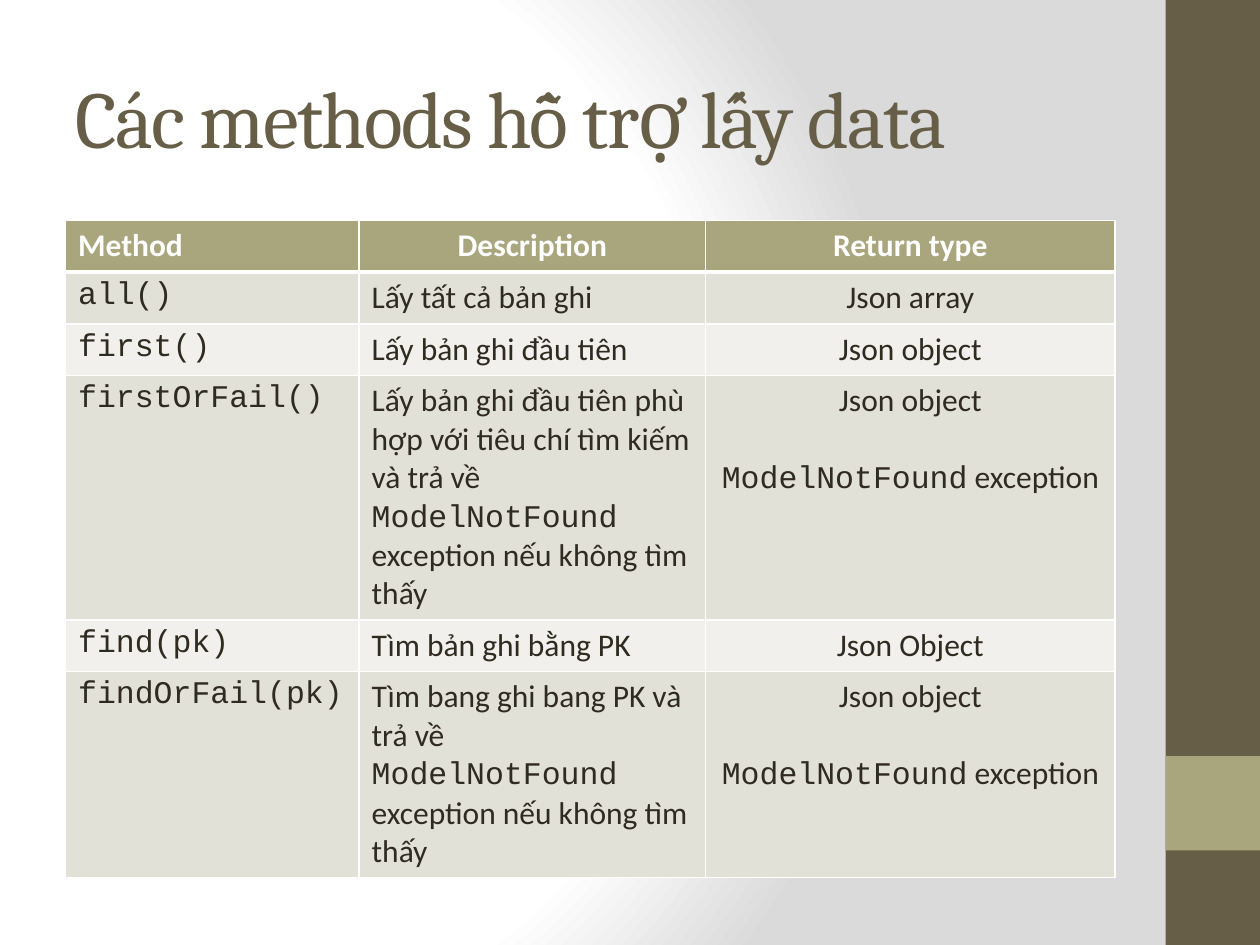
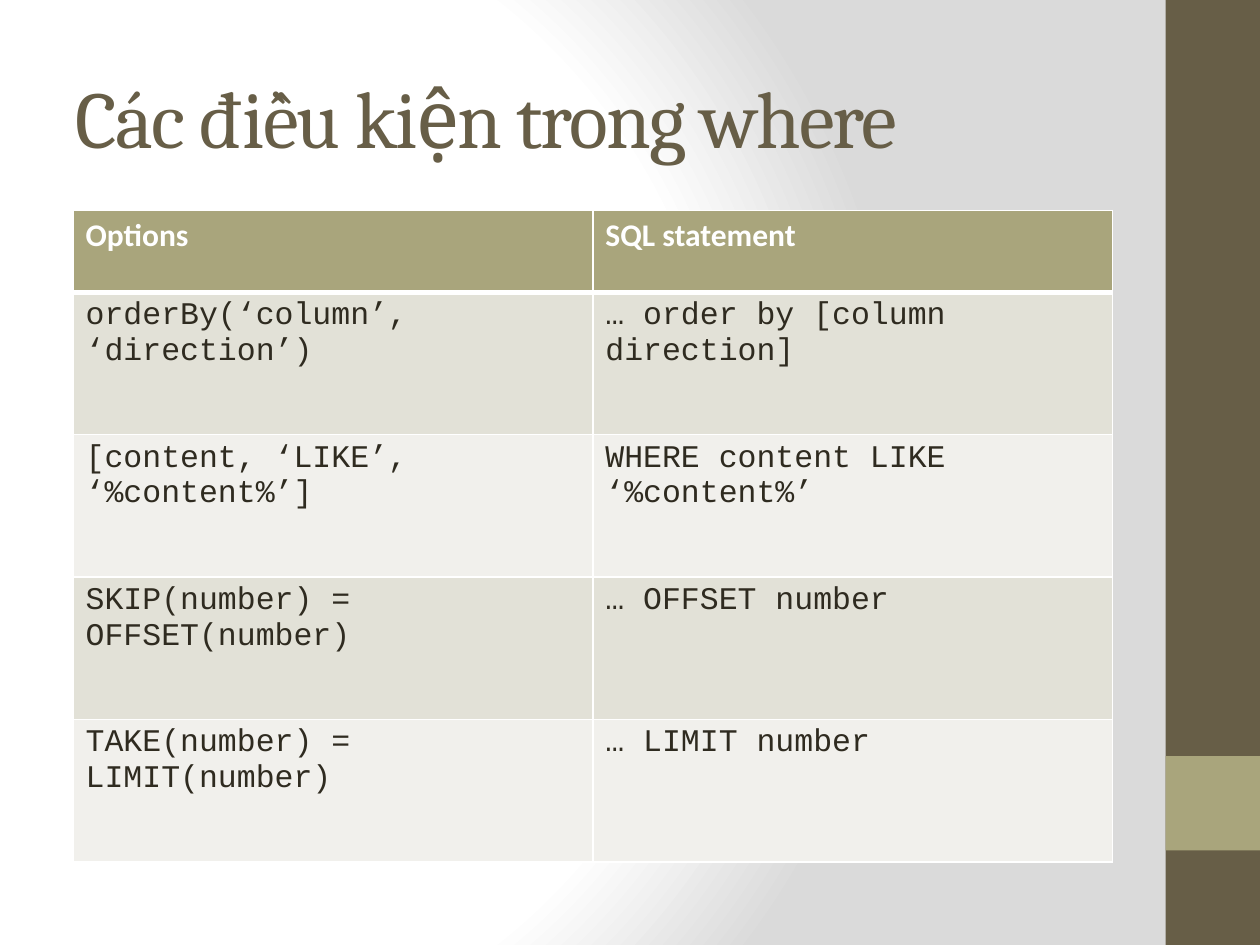
from dataclasses import dataclass

from pptx import Presentation
from pptx.dml.color import RGBColor
from pptx.enum.shapes import MSO_SHAPE
from pptx.enum.text import MSO_ANCHOR, MSO_AUTO_SIZE, PP_ALIGN
from pptx.oxml import parse_xml
from pptx.oxml.ns import nsdecls
from pptx.util import Inches, Pt

COLORS = {
    "brown": "675E47",
    "olive": "A9A57C",
    "text": "2F2B20",
    "odd_row": "E2E1D7",
    "even_row": "F1F0EC",
    "white": "FFFFFF",
    "grey": "DADADA",
}
TITLE_FONT, BODY_FONT, CODE_FONT = "Cambria", "Calibri", "Courier New"
TITLE_ONLY_LAYOUT = 5
LEFT, CENTER = PP_ALIGN.LEFT, PP_ALIGN.CENTER


@dataclass(frozen=True)
class Band:
    top: float
    height: float
    color: str


@dataclass(frozen=True)
class TableSlide:
    title: str
    left: float
    top: float
    height: float
    column_widths: list[float]
    row_heights: list[float]
    header_alignments: list[PP_ALIGN]
    body_alignments: list[PP_ALIGN]
    rows: list[list[str]]


BANDS = [Band(0, 7.5, "brown"), Band(6, 0.75, "olive")]

NOT_FOUND = "`ModelNotFound` exception"
FAILING_RETURN = f"Json object\n{NOT_FOUND}"

TABLE_SLIDES = [
    TableSlide(
        title="Các methods hỗ trợ lấy data",
        left=0.52,
        top=1.75,
        height=5.12,
        column_widths=[2.33, 2.75, 3.25],
        row_heights=[0.41] * 6,
        header_alignments=[LEFT, CENTER, CENTER],
        body_alignments=[LEFT, LEFT, CENTER],
        rows=[
            ["Method", "Description", "Return type"],
            ["`all()`", "Lấy tất cả bản ghi", "Json array"],
            ["`first()`", "Lấy bản ghi đầu tiên", "Json object"],
            [
                "`firstOrFail()`",
                "Lấy bản ghi đầu tiên phù hợp với tiêu chí tìm kiếm và trả về "
                f"{NOT_FOUND} nếu không tìm thấy",
                FAILING_RETURN,
            ],
            ["`find(pk)`", "Tìm bản ghi bằng PK", "Json Object"],
            [
                "`findOrFail(pk)`",
                f"Tìm bang ghi bang PK và trả về {NOT_FOUND} nếu không tìm thấy",
                FAILING_RETURN,
            ],
        ],
    ),
    TableSlide(
        title="Các điều kiện trong where",
        left=0.58,
        top=1.67,
        height=5.17,
        column_widths=[8.25 / 2] * 2,
        row_heights=[0.65] + [1.13] * 4,
        header_alignments=[LEFT, LEFT],
        body_alignments=[LEFT, LEFT],
        rows=[
            ["Options", "SQL statement"],
            ["`orderBy(‘column’, ‘direction’)`", "`… order by [column direction]`"],
            ["`[content, ‘LIKE’, ‘%content%’]`", "`WHERE content LIKE ‘%content%’`"],
            ["`SKIP(number) = OFFSET(number)`", "`… OFFSET number`"],
            ["`TAKE(number) = LIMIT(number)`", "`… LIMIT number`"],
        ],
    ),
]


def rgb(name: str) -> RGBColor:
    return RGBColor.from_string(COLORS[name])


def set_background(master) -> None:
    master.background.fill.gradient()
    gradient = master.element.xpath("p:cSld/p:bg//a:gradFill")[0]
    stops = "".join(
        f'<a:gs pos="{position * 1000}"><a:srgbClr val="{COLORS[color]}"/></a:gs>'
        for position, color in [(0, "white"), (75, "white"), (100, "grey")]
    )
    circle = parse_xml(
        f'<a:gradFill {nsdecls("a")} rotWithShape="1"><a:gsLst>{stops}</a:gsLst>'
        '<a:path path="circle">'
        '<a:fillToRect l="20000" t="50000" r="100000" b="50000"/>'
        "</a:path></a:gradFill>"
    )
    gradient.getparent().replace(gradient, circle)


def add_bands(slide) -> None:
    for band in BANDS:
        shape = slide.shapes.add_shape(
            MSO_SHAPE.RECTANGLE,
            Inches(9.25), Inches(band.top), Inches(0.75), Inches(band.height),
        )
        shape.shadow.inherit = False
        shape.fill.solid()
        shape.fill.fore_color.rgb = rgb(band.color)
        shape.line.fill.background()


def set_title(slide, text: str) -> None:
    title = slide.shapes.title
    title.left, title.top = Inches(0.5), Inches(0.3)
    title.width, title.height = Inches(8.33), Inches(1.25)
    frame = title.text_frame
    frame.text = text
    frame.word_wrap = True
    frame.auto_size = MSO_AUTO_SIZE.NONE
    frame.vertical_anchor = MSO_ANCHOR.MIDDLE
    paragraph = frame.paragraphs[0]
    paragraph.alignment = LEFT
    paragraph.font.name = TITLE_FONT
    paragraph.font.size = Pt(46)
    paragraph.font.color.rgb = rgb("brown")
    paragraph.runs[0]._r.get_or_add_rPr().set("spc", "-100")


def set_borders(cell, is_header: bool) -> None:
    widths = {"lnL": 1, "lnR": 1, "lnT": 1, "lnB": 3} if is_header else {
        "lnL": 1, "lnR": 1, "lnB": 1
    }
    properties = cell._tc.get_or_add_tcPr()
    for side, width in widths.items():
        properties.append(parse_xml(
            f'<a:{side} {nsdecls("a")} w="{Pt(width)}"><a:solidFill>'
            f'<a:srgbClr val="{COLORS["white"]}"/></a:solidFill></a:{side}>'
        ))


def write_paragraph(paragraph, text: str, color: str, bold: bool) -> None:
    pieces = [(piece, index % 2 == 1)
              for index, piece in enumerate(text.split("`")) if piece]
    all_code = all(is_code for _, is_code in pieces)
    font = paragraph.font
    font.name = CODE_FONT if all_code else BODY_FONT
    font.size = Pt(18)
    font.bold = bold
    font.color.rgb = rgb(color)
    for piece, is_code in pieces:
        run = paragraph.add_run()
        run.text = piece
        if is_code and not all_code:
            run.font.name = CODE_FONT


def fill_cell(cell, text: str, row_index: int, alignment: PP_ALIGN) -> None:
    is_header = row_index == 0
    set_borders(cell, is_header)
    fill = "olive" if is_header else "odd_row" if row_index % 2 else "even_row"
    cell.fill.solid()
    cell.fill.fore_color.rgb = rgb(fill)
    frame = cell.text_frame
    for index, line in enumerate(text.split("\n")):
        paragraph = frame.add_paragraph() if index else frame.paragraphs[0]
        paragraph.alignment = alignment
        if index:
            paragraph.space_before = Pt(22)
        write_paragraph(paragraph, line, "white" if is_header else "text", is_header)


def add_grid(slide, content: TableSlide) -> None:
    graphic_frame = slide.shapes.add_table(
        len(content.rows), len(content.column_widths),
        Inches(content.left), Inches(content.top),
        Inches(sum(content.column_widths)), Inches(content.height),
    )
    table = graphic_frame.table
    for column, width in zip(table.columns, content.column_widths):
        column.width = Inches(width)
    for row, height in zip(table.rows, content.row_heights):
        row.height = Inches(height)
    graphic_frame.height = Inches(content.height)
    for row_index, texts in enumerate(content.rows):
        alignments = content.body_alignments if row_index else content.header_alignments
        for column_index, (text, alignment) in enumerate(zip(texts, alignments)):
            fill_cell(table.cell(row_index, column_index), text, row_index, alignment)


def main() -> None:
    presentation = Presentation()
    presentation.slide_width, presentation.slide_height = Inches(10), Inches(7.5)
    set_background(presentation.slide_master)
    layout = presentation.slide_layouts[TITLE_ONLY_LAYOUT]
    for content in TABLE_SLIDES:
        slide = presentation.slides.add_slide(layout)
        add_bands(slide)
        set_title(slide, content.title)
        add_grid(slide, content)
    presentation.save("out.pptx")


if __name__ == "__main__":
    main()
